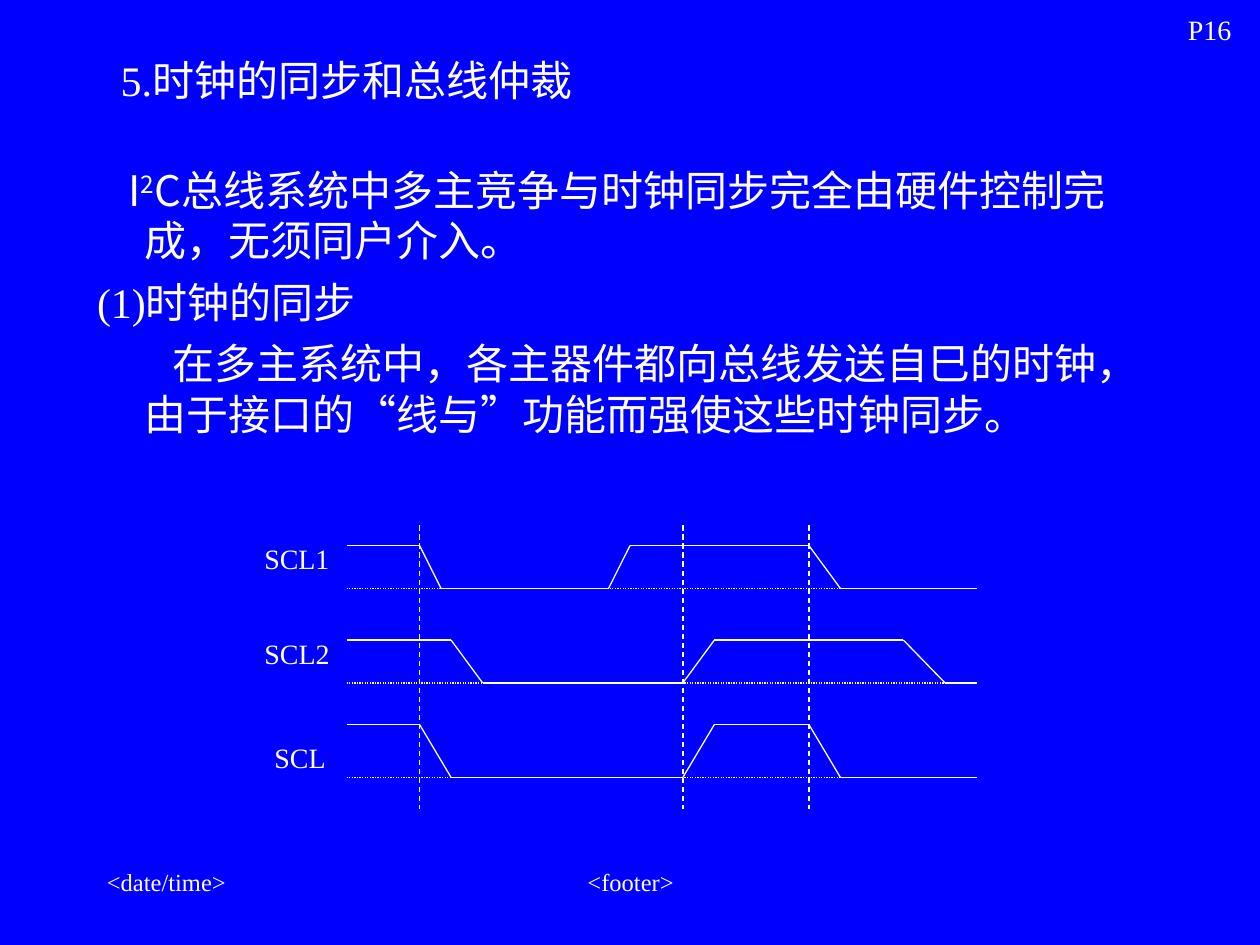
from dataclasses import dataclass
from itertools import pairwise

from lxml import etree
from pptx import Presentation
from pptx import util as u
from pptx.dml.color import RGBColor
from pptx.enum import dml, shapes, text
from pptx.oxml import ns

BLUE = RGBColor(0x00, 0x00, 0xFF)
WHITE = RGBColor(0xFF, 0xFF, 0xFF)
SERIF = "Times New Roman"
SANS = "Noto Sans CJK SC"
DASH = dml.MSO_LINE.DASH
DOTS = dml.MSO_LINE.ROUND_DOT

Point = tuple[float, float]
Box = tuple[float, float, float, float]


@dataclass(frozen=True)
class Signal:
    name: str
    label_box: Box
    high: float
    low: float
    edges: tuple[float, ...]  # start and end of each fall and rise, in turn
    baseline_end: float


@dataclass(frozen=True)
class BodyItem:
    runs: tuple[tuple[str, str, int], ...]  # wording, font, baseline shift in %
    first_indent: float


WAVE_START, WAVE_END = 2.75, 7.75
SYNC_TIMES = (3.33, 5.42, 6.42)
SYNC_TOP, SYNC_BOTTOM = 4.17, 6.42

SIGNALS = (
    Signal("SCL1", (2, 4.25, 0.83, 0.37), 4.33, 4.67,
           (3.33, 3.5, 4.83, 5, 6.42, 6.67), 7.75),
    Signal("SCL2", (2, 5, 0.92, 0.37), 5.08, 5.42,
           (3.58, 3.83, 5.42, 5.67, 7.17, 7.5), 7.58),
    Signal("SCL", (2.08, 5.83, 0.92, 0.37), 5.75, 6.17,
           (3.33, 3.58, 5.42, 5.67, 6.42, 6.67), 7.58),
)

BODY = (
    BodyItem((("I", SANS, 0), ("2", SANS, 30),
              ("C总线系统中多主竞争与时钟同步完全由硬件控制完成，无须同户介入。", SANS, 0)), -0.13),
    BodyItem((("(1)", SERIF, 0), ("时钟的同步", SANS, 0)), -0.38),
    BodyItem((("在多主系统中，各主器件都向总线发送自巳的时钟，"
               "由于接口的“线与”功能而强使这些时钟同步。", SANS, 0),), 0.22),
)


def place(shape, box: Box) -> None:
    shape.left, shape.top, shape.width, shape.height = map(u.Inches, box)


def add_run(paragraph, wording: str, *, size: float, font: str = SERIF,
            shift: int = 0) -> None:
    run = paragraph.add_run()
    run.text = wording
    run.font.size = u.Pt(size)
    run.font.name = font
    run.font.color.rgb = WHITE
    properties = run.font._element
    east_asian = etree.SubElement(properties, ns.qn("a:ea"))
    east_asian.set("typeface", SANS)
    if shift:
        properties.set("baseline", str(shift * 1000))


def add_label(parent, wording: str, box: Box, *, size: float = 16,
              align=text.PP_ALIGN.LEFT) -> None:
    label = parent.add_textbox(*map(u.Inches, box))
    label.text_frame.word_wrap = True
    paragraph = label.text_frame.paragraphs[0]
    paragraph.alignment = align
    add_run(paragraph, wording, size=size)


def add_line(parent, start: Point, end: Point, dash=None) -> None:
    line = parent.add_connector(shapes.MSO_CONNECTOR.STRAIGHT,
                                *map(u.Inches, start + end))
    line.line.color.rgb = WHITE
    line.line.width = u.Pt(0.75)
    if dash is not None:
        line.line.dash_style = dash
    etree.SubElement(line._element.spPr, ns.qn("a:effectLst"))


def add_signal(parent, signal: Signal) -> None:
    """Draw the label, the dotted low level and the wave of one clock."""
    add_label(parent, signal.name, signal.label_box)
    add_line(parent, (WAVE_START, signal.low),
             (signal.baseline_end, signal.low), DOTS)
    levels = (signal.high, signal.low, signal.low, signal.high)
    corners = [(x, levels[i % 4]) for i, x in enumerate(signal.edges)]
    wave = [(WAVE_START, signal.high), *corners, (WAVE_END, signal.low)]
    for start, end in pairwise(wave):
        add_line(parent, start, end)


def fill_title(title) -> None:
    place(title, (0.75, 0.42, 4, 0.42))
    frame = title.text_frame
    frame.auto_size = text.MSO_AUTO_SIZE.NONE
    frame.vertical_anchor = text.MSO_ANCHOR.MIDDLE
    frame.paragraphs[0].alignment = text.PP_ALIGN.CENTER
    add_run(frame.paragraphs[0], "5.时钟的同步和总线仲裁", size=24)


def fill_body(body) -> None:
    place(body, (0.67, 1.25, 8.25, 2.67))
    frame = body.text_frame
    frame.auto_size = text.MSO_AUTO_SIZE.NONE
    for number, item in enumerate(BODY):
        paragraph = frame.add_paragraph() if number else frame.paragraphs[0]
        paragraph.space_before = u.Pt(6 if number else 0)
        paragraph.line_spacing = u.Pt(29)
        properties = paragraph._p.get_or_add_pPr()
        properties.set("marL", str(u.Inches(0.38)))
        properties.set("indent", str(u.Inches(item.first_indent)))
        etree.SubElement(properties, ns.qn("a:buNone"))
        for wording, font, shift in item.runs:
            add_run(paragraph, wording, size=24, font=font, shift=shift)


def main() -> None:
    deck = Presentation()
    deck.slide_width, deck.slide_height = u.Inches(10), u.Inches(7.5)
    slide = deck.slides.add_slide(deck.slide_layouts[1])
    slide.background.fill.solid()
    slide.background.fill.fore_color.rgb = BLUE

    fill_title(slide.shapes.title)
    fill_body(slide.placeholders[1])

    diagram = slide.shapes.add_group_shape().shapes
    for signal in SIGNALS:
        add_signal(diagram, signal)
    for x in SYNC_TIMES:
        add_line(diagram, (x, SYNC_TOP), (x, SYNC_BOTTOM), DASH)

    add_label(slide.shapes, "P16", (9.33, 0.05, 0.67, 0.37))
    add_label(slide.shapes, "<date/time>", (0.75, 6.83, 2.08, 0.5), size=14)
    add_label(slide.shapes, "<footer>", (3.42, 6.83, 3.17, 0.5), size=14,
              align=text.PP_ALIGN.CENTER)
    deck.save("out.pptx")


if __name__ == "__main__":
    main()
